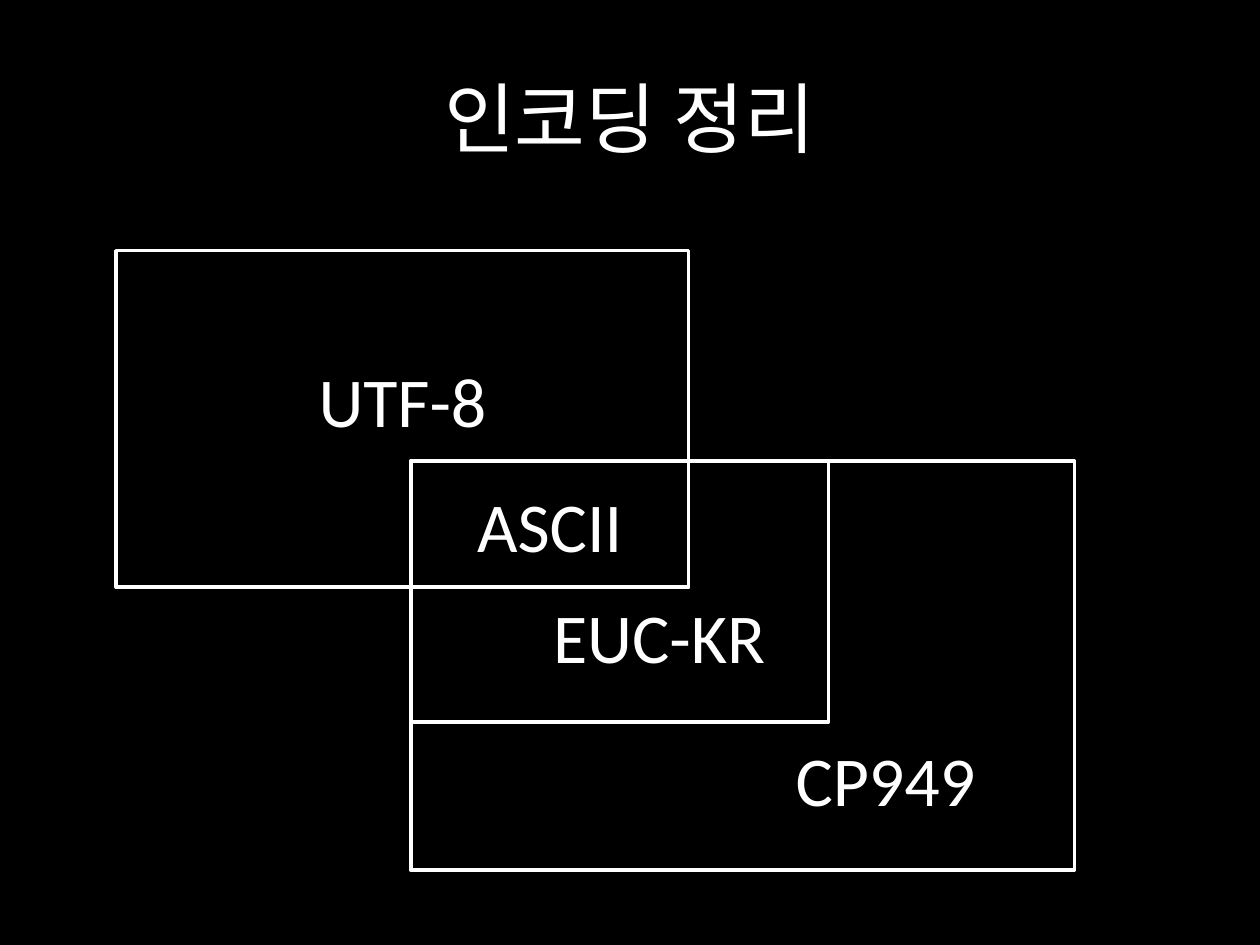
from dataclasses import dataclass

from pptx import Presentation
from pptx.dml.color import RGBColor
from pptx.enum.shapes import MSO_SHAPE as Shape
from pptx.enum.text import MSO_ANCHOR as Anchor, MSO_AUTO_SIZE as AutoSize, PP_ALIGN as Align
from pptx.util import Pt


@dataclass(frozen=True)
class Theme:
    background: RGBColor = RGBColor(0, 0, 0)
    foreground: RGBColor = RGBColor(255, 255, 255)
    font: str = "Calibri"
    title_size: int = 44
    label_size: int = 40
    line_width: int = 2


class SlideBuilder:
    def __init__(self, slide, theme):
        self.slide = slide
        self.theme = theme
        fill = slide.background.fill
        fill.solid()
        fill.fore_color.rgb = theme.background

    def set_text(self, shape, text, size):
        frame = shape.text_frame
        frame.text = text
        frame.vertical_anchor = Anchor.MIDDLE
        paragraph = frame.paragraphs[0]
        paragraph.alignment = Align.CENTER
        font = paragraph.runs[0].font
        font.name = self.theme.font
        font.size = Pt(size)
        font.color.rgb = self.theme.foreground

    def title(self, text, left, top, width, height):
        box = self.slide.shapes.add_textbox(Pt(left), Pt(top), Pt(width), Pt(height))
        box.text_frame.word_wrap = True
        self.set_text(box, text, self.theme.title_size)

    def label(self, text, left, top, width, height):
        box = self.slide.shapes.add_textbox(Pt(left), Pt(top), Pt(width), Pt(height))
        self.set_text(box, text, self.theme.label_size)
        box.text_frame.word_wrap = False
        box.text_frame.auto_size = AutoSize.SHAPE_TO_FIT_TEXT
        box.text_frame.vertical_anchor = Anchor.TOP

    def region(self, left, top, right, bottom, text=None):
        shape = self.slide.shapes.add_shape(
            Shape.RECTANGLE, Pt(left), Pt(top), Pt(right - left), Pt(bottom - top))
        shape.shadow.inherit = False
        shape.fill.background()
        shape.line.color.rgb = self.theme.foreground
        shape.line.width = Pt(self.theme.line_width)
        if text:
            self.set_text(shape, text, self.theme.label_size)


presentation = Presentation()
presentation.slide_width = Pt(720)
presentation.slide_height = Pt(540)
builder = SlideBuilder(
    presentation.slides.add_slide(presentation.slide_layouts[6]), Theme())

utf_left, utf_top, utf_right, utf_bottom = 66.2, 143.3, 393.5, 335.5
korean_left, korean_top = 234.7, 263.5
label_height = 55.7

builder.title("인코딩 정리", 36, 21.6, 648, 90)
builder.region(korean_left, korean_top, utf_right, utf_bottom, "ASCII")
for right, bottom in ((473.5, 412.5), (614, 497.3)):
    builder.region(korean_left, korean_top, right, bottom)
builder.region(utf_left, utf_top, utf_right, utf_bottom)

for text, left, top, width in (
    ("CP949", 447, 417.5, 118),
    ("EUC-KR", 308.2, 335.5, 136.8),
    ("UTF-8", 174.2, 201, 111.6),
):
    builder.label(text, left, top, width, label_height)

presentation.save("out.pptx")
